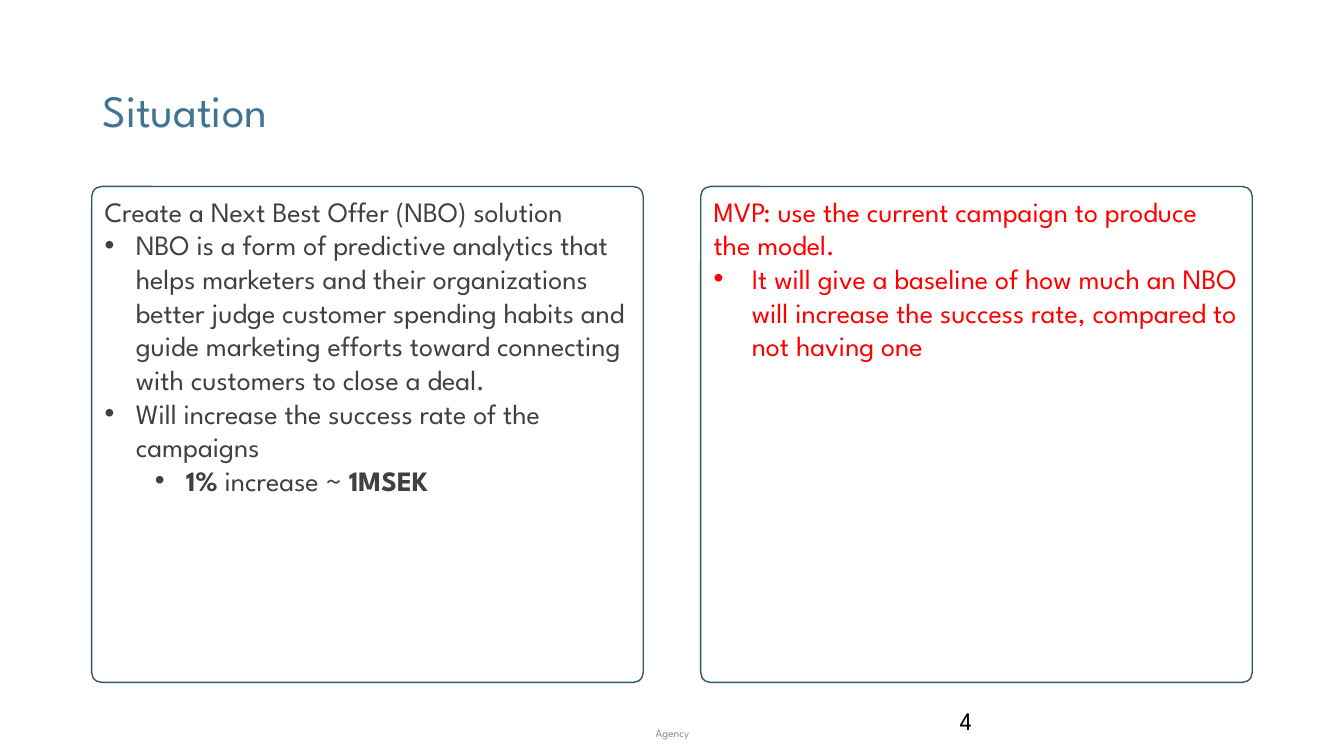
from pptx import Presentation
from pptx.dml.color import RGBColor
from pptx.enum.shapes import MSO_SHAPE
from pptx.enum.text import MSO_ANCHOR, PP_ALIGN
from pptx.oxml.xmlchemy import OxmlElement
from pptx.util import Inches, Pt

FONT = "League Spartan"
BORDER = "2F576D"


def rgb(value):
    return RGBColor.from_string(value)


def style(run, size, color, bold=False):
    run.font.name = FONT
    run.font.size = Pt(size)
    run.font.bold = bold
    run.font.color.rgb = rgb(color)


def add_bullet(paragraph, indent, hanging):
    properties = paragraph._p.get_or_add_pPr()
    properties.set("marL", str(Inches(indent)))
    properties.set("indent", str(-Inches(hanging)))
    font = OxmlElement("a:buFont")
    font.set("typeface", "Arial")
    bullet = OxmlElement("a:buChar")
    bullet.set("char", "•")
    properties.extend([font, bullet])


def add_label(slide, box, text, size, color, anchor=MSO_ANCHOR.TOP, align=PP_ALIGN.LEFT):
    frame = slide.shapes.add_textbox(*map(Inches, box)).text_frame
    frame.word_wrap = True
    frame.vertical_anchor = anchor
    frame.text = text
    line = frame.paragraphs[0]
    line.alignment = align
    style(line.runs[0], size, color)
    return line


def add_panel(slide, box, heading, points, color, hanging):
    panel = slide.shapes.add_shape(MSO_SHAPE.ROUNDED_RECTANGLE, *map(Inches, box))
    panel.adjustments[0] = 0.02
    panel.shadow.inherit = False
    panel.fill.background()
    panel.line.color.rgb = rgb(BORDER)
    panel.line.width = Pt(1)
    frame = panel.text_frame
    frame.word_wrap = True
    frame.vertical_anchor = MSO_ANCHOR.TOP
    frame.text = heading
    frame.paragraphs[0].alignment = PP_ALIGN.LEFT
    style(frame.paragraphs[0].runs[0], 20, color)
    for level, pieces in points:
        point = frame.add_paragraph()
        point.level = level
        point.alignment = PP_ALIGN.LEFT
        add_bullet(point, hanging + 0.5 * level, hanging)
        for text, bold in pieces:
            run = point.add_run()
            run.text = text
            style(run, 20, color, bold)


def add_footer(slide, left, top):
    add_label(slide, (left, top + 0.12, 4.5, 0.4), "Agency", 8, "8C8C8C",
              MSO_ANCHOR.MIDDLE, PP_ALIGN.CENTER)
    add_label(slide, (left + 5, top, 3, 0.4), "4", 18, "000000")


def build_situation(slide):
    title = add_label(slide, (0.92, 0.4, 11.5, 1.45), "Situation", 32, "3F7593",
                      MSO_ANCHOR.MIDDLE)
    title.line_spacing = 0.9
    add_footer(slide, 4.42, 6.95)

    solution = [
        (0, [("NBO is a form of predictive analytics that helps marketers and their "
              "organizations better judge customer spending habits and guide marketing "
              "efforts toward connecting with customers to close a deal.", False)]),
        (0, [("Will increase the success rate of the campaigns", False)]),
        (1, [("1%", True), (" increase ~ ", False), ("1MSEK", True)]),
    ]
    mvp = [
        (0, [("It will give a baseline of how much an NBO will increase the success "
              "rate, compared to not having one", False)]),
    ]
    panels = [
        ("Create a Next Best Offer (NBO) solution", solution, "404040", 0.31),
        ("MVP: use the current campaign to produce the model.", mvp, "FF0000", 0.38),
    ]
    for column, panel in enumerate(panels):
        add_panel(slide, (0.91 + 6.04 * column, 1.85, 5.47, 4.92), *panel)


def main():
    deck = Presentation()
    deck.slide_width = Inches(13.33)
    deck.slide_height = Inches(7.5)
    build_situation(deck.slides.add_slide(deck.slide_layouts[6]))
    deck.save("out.pptx")


if __name__ == "__main__":
    main()
